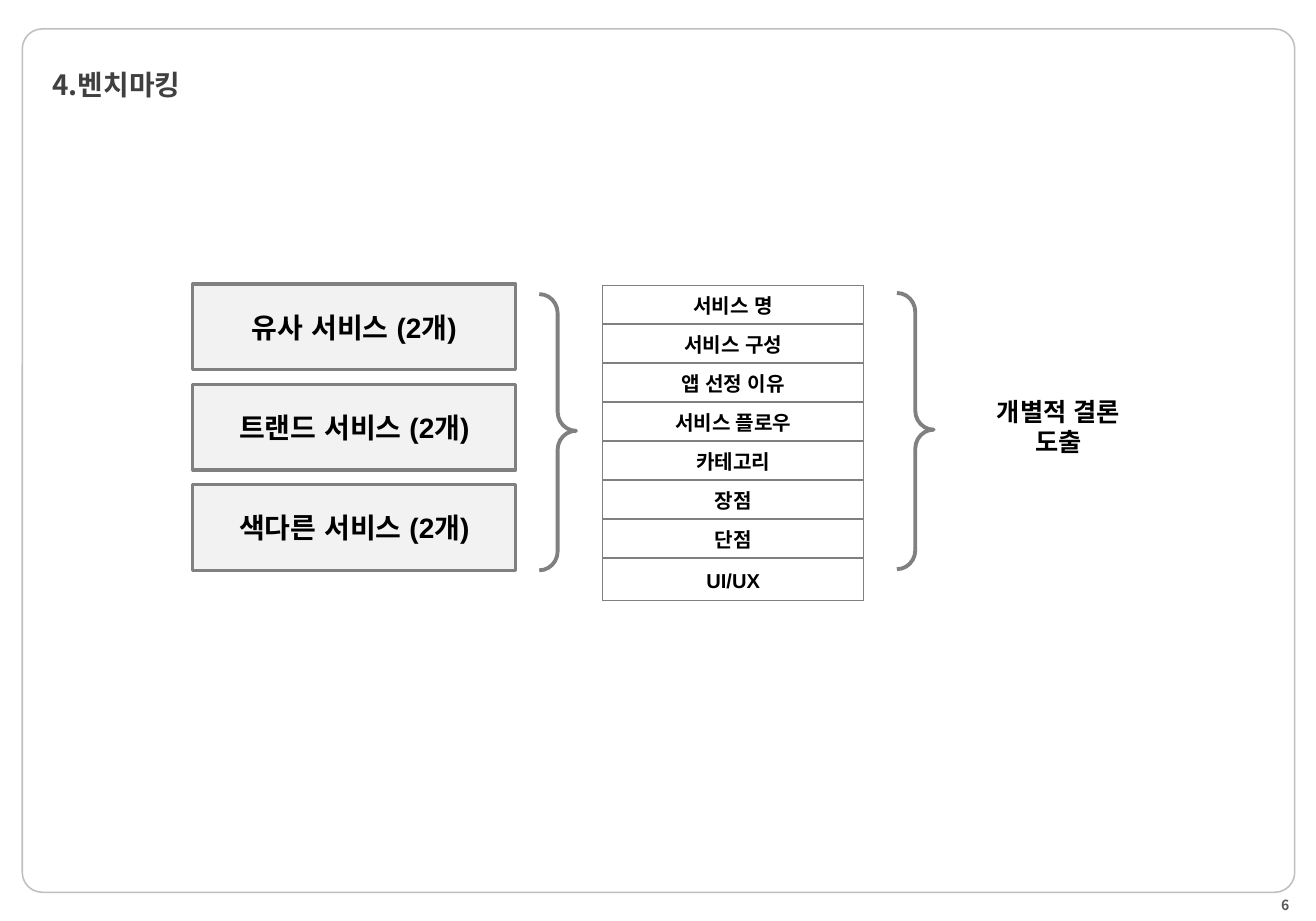
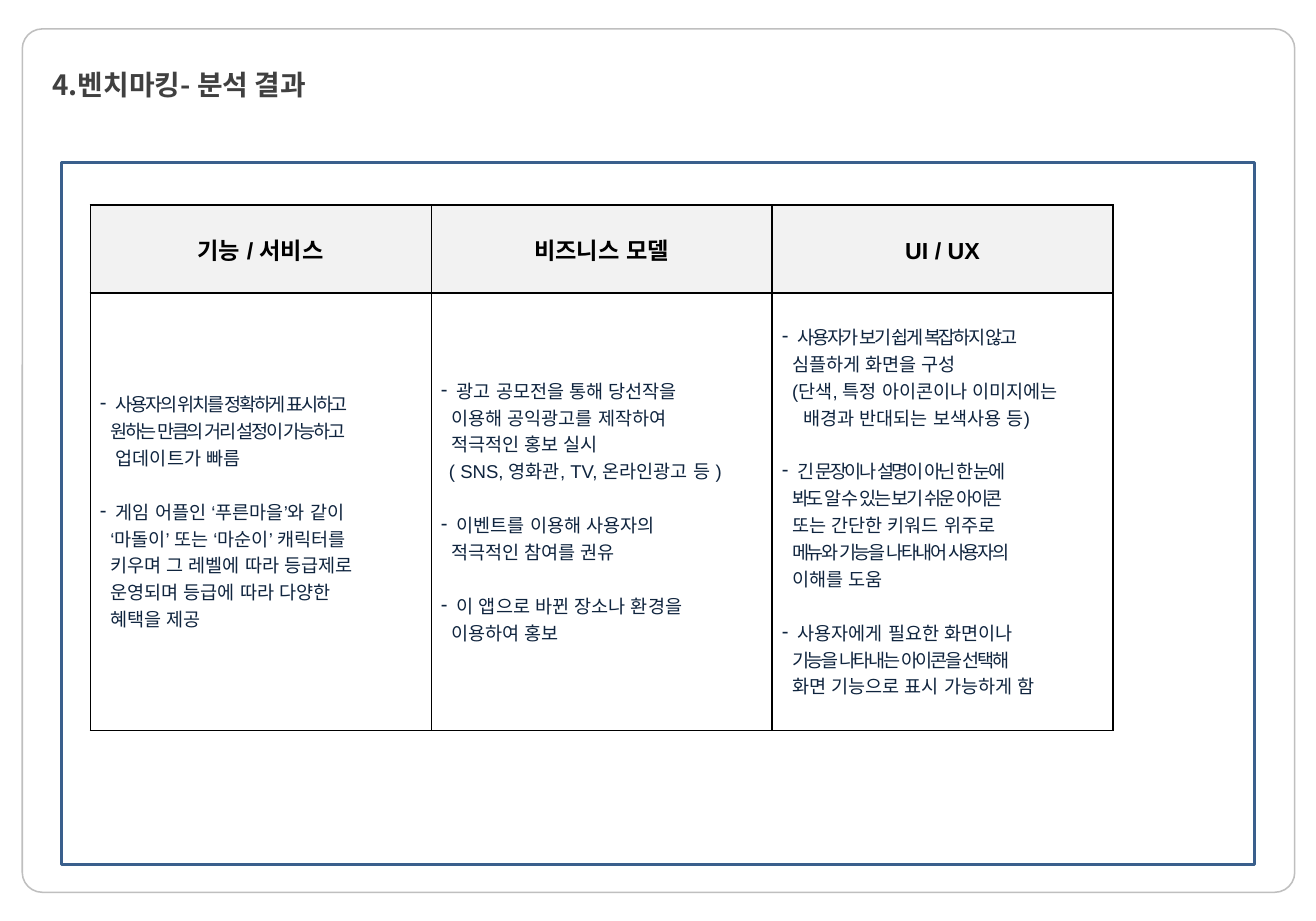
"""Build the two benchmarking slides."""
from dataclasses import dataclass

import lxml.etree
import pptx
import pptx.dml.color
import pptx.enum.shapes
import pptx.enum.text
import pptx.oxml.ns
import pptx.util

Inches = pptx.util.Inches
Pt = pptx.util.Pt
qn = pptx.oxml.ns.qn
SHAPE = pptx.enum.shapes.MSO_SHAPE
ALIGN = pptx.enum.text.PP_ALIGN
MIDDLE = pptx.enum.text.MSO_ANCHOR.MIDDLE


@dataclass(frozen=True)
class Theme:
    """Colours, fonts and type sizes shared by the slides."""
    black: str = "000000"
    title: str = "404040"
    number: str = "595959"
    body: str = "0F243E"
    gray: str = "808080"
    frame: str = "BFBFBF"
    panel: str = "3A5F8C"
    pale: str = "F2F2F2"
    text_font: str = "Arial"
    title_font: str = "Noto Sans CJK KR"
    title_size: float = 18
    box_size: float = 18.1
    result_size: float = 16.3
    head_size: float = 15
    item_size: float = 13
    body_size: float = 12
    number_size: float = 9
    body_leading: float = 17.4
    result_leading: float = 19.4


@dataclass(frozen=True)
class Line:
    """One line of a point; tight lines have condensed letters."""
    text: str
    tight: bool = False
    indent: float = 0.09


THEME = Theme()
CM_PER_INCH = 2.54
BULLET_INDENT = 0.14

SERVICES = ["유사 서비스 (2개)", "트랜드 서비스 (2개)", "색다른 서비스 (2개)"]
CRITERIA = ["서비스 명", "서비스 구성", "앱 선정 이유", "서비스 플로우",
            "카테고리", "장점", "단점", "UI/UX"]
FINDINGS = {
    "기능 / 서비스": [
        [Line("사용자의 위치를 정확하게 표시하고", True),
         Line("원하는 만큼의 거리 설정이 가능하고", True),
         Line("업데이트가 빠름", indent=0.14)],
        [Line("게임 어플인 ‘푸른마을’와 같이"),
         Line("‘마돌이’ 또는 ‘마순이’ 캐릭터를"),
         Line("키우며 그 레벨에 따라 등급제로"),
         Line("운영되며 등급에 따라 다양한"),
         Line("혜택을 제공")],
    ],
    "비즈니스 모델": [
        [Line("광고 공모전을 통해 당선작을"),
         Line("이용해 공익광고를 제작하여"),
         Line("적극적인 홍보 실시"),
         Line("( SNS, 영화관, TV, 온라인광고 등 )", indent=0.07)],
        [Line("이벤트를 이용해 사용자의"),
         Line("적극적인 참여를 권유")],
        [Line("이 앱으로 바뀐 장소나 환경을"),
         Line("이용하여 홍보")],
    ],
    "UI / UX": [
        [Line("사용자가 보기 쉽게 복잡하지 않고", True),
         Line("심플하게 화면을 구성"),
         Line("(단색, 특정 아이콘이나 이미지에는"),
         Line("배경과 반대되는 보색사용 등)", indent=0.19)],
        [Line("긴 문장이나 설명이 아닌 한 눈에", True),
         Line("봐도 알 수 있는 보기 쉬운 아이콘", True),
         Line("또는 간단한 키워드 위주로"),
         Line("메뉴와 기능을 나타내어 사용자의", True),
         Line("이해를 도움")],
        [Line("사용자에게 필요한 화면이나"),
         Line("기능을 나타내는 아이콘을 선택해", True),
         Line("화면 기능으로 표시 가능하게 함")],
    ],
}


def rgb(code):
    """Return the colour for a hex code."""
    return pptx.dml.color.RGBColor.from_string(code)


def format_text(tf, size, color=THEME.black, font=THEME.text_font,
                bold=True, align=ALIGN.CENTER):
    """Format every paragraph and run of a text frame."""
    tf.word_wrap = True
    for p in tf.paragraphs:
        p.alignment = align
        for r in p.runs:
            r.font.size = Pt(size)
            r.font.bold = bold
            r.font.color.rgb = rgb(color)
            r.font.name = font
            ea = lxml.etree.SubElement(r._r.get_or_add_rPr(), qn("a:ea"))
            ea.set("typeface", font)


def add_text(slide, box, text, size, **style):
    """Add a vertically centred text box and return its frame."""
    tf = slide.shapes.add_textbox(*map(Inches, box)).text_frame
    tf.text = text
    tf.vertical_anchor = MIDDLE
    format_text(tf, size, **style)
    return tf


def add_outline(slide, kind, box, color, width, fill=None, adjust=()):
    """Add a preset shape with an outline and an optional fill."""
    sp = slide.shapes.add_shape(kind, *map(Inches, box))
    sp.shadow.inherit = False
    sp.line.color.rgb = rgb(color)
    sp.line.width = Pt(width)
    if fill:
        sp.fill.solid()
        sp.fill.fore_color.rgb = rgb(fill)
    else:
        sp.fill.background()
    for i, value in enumerate(adjust):
        sp.adjustments[i] = value
    return sp


def add_brace(slide, left, top):
    """Add a brace that gathers the items on its left."""
    add_outline(slide, SHAPE.RIGHT_BRACE, (left, top, 0.33, 2.48),
                THEME.gray, 2.5, adjust=(0.518, 0.495))


def style_cell(cell, border, fill=None, shift=0.02):
    """Give a cell its borders and fill, and shift its text down."""
    cell.vertical_anchor = MIDDLE
    cell.margin_left = cell.margin_right = Inches(0.09)
    cell.margin_top = Inches(0.04 + shift)
    cell.margin_bottom = Inches(0.04 - shift)
    tc_pr = cell._tc.get_or_add_tcPr()
    for side in ("a:lnL", "a:lnR", "a:lnT", "a:lnB"):
        ln = lxml.etree.SubElement(tc_pr, qn(side), w=str(Pt(1)))
        solid = lxml.etree.SubElement(ln, qn("a:solidFill"))
        lxml.etree.SubElement(solid, qn("a:srgbClr"), val=border)
    if fill:
        cell.fill.solid()
        cell.fill.fore_color.rgb = rgb(fill)
    else:
        cell.fill.background()


def add_grid(slide, left, top, widths, heights):
    """Add a table without banding and return it."""
    box = map(Inches, (left, top, sum(widths), sum(heights)))
    table = slide.shapes.add_table(len(heights), len(widths), *box).table
    table.first_row = table.horz_banding = False
    for col, width in zip(table.columns, widths):
        col.width = Inches(width)
    for row, height in zip(table.rows, heights):
        row.height = Inches(height)
    return table


def fill_points(tf, points):
    """Write dashed points whose lines are broken by hand."""
    lines = [(line, i == 0) for point in points for i, line in enumerate(point)]
    tf.text = "\n".join(line.text for line, _ in lines)
    format_text(tf, THEME.body_size, THEME.body, bold=False, align=ALIGN.LEFT)
    for n, (p, (line, starts)) in enumerate(zip(tf.paragraphs, lines)):
        p.line_spacing = Pt(THEME.body_leading)
        if starts and n:
            p.space_before = Pt(THEME.body_leading)
        p_pr = p._p.get_or_add_pPr()
        indent = Inches(BULLET_INDENT if starts else line.indent)
        p_pr.set("marL", str(indent))
        p_pr.set("indent", str(-indent if starts else 0))
        if starts:
            lxml.etree.SubElement(p_pr, qn("a:buChar"), char="-")
        else:
            lxml.etree.SubElement(p_pr, qn("a:buNone"))
        if line.tight:
            p.runs[0]._r.get_or_add_rPr().set("spc", "-150")


def add_page(prs, title, number=None):
    """Add a slide with the shared frame, title and page number."""
    slide = prs.slides.add_slide(prs.slide_layouts[6])
    add_outline(slide, SHAPE.ROUNDED_RECTANGLE, (0.2, 0.26, 11.42, 7.75),
                THEME.frame, 1, adjust=(0.023,))
    tf = add_text(slide, (0.39, 0.28, 10.48, 0.95), title, THEME.title_size,
                  color=THEME.title, font=THEME.title_font, align=ALIGN.LEFT)
    tf.margin_left = Inches(0.08)
    if number:
        tf = add_text(slide, (8.91, 8.03, 2.76, 0.18), number,
                      THEME.number_size, color=THEME.number,
                      font=THEME.title_font, align=ALIGN.RIGHT)
        tf.margin_top = tf.margin_bottom = 0
    return slide


def build_method(prs):
    """Build the slide on services, criteria and conclusion."""
    slide = add_page(prs, "4.벤치마킹", "6")
    for i, service in enumerate(SERVICES):
        sp = add_outline(slide, SHAPE.RECTANGLE, (1.73, 2.55 + 0.9 * i, 2.9, 0.77),
                         THEME.gray, 2, THEME.pale)
        sp.text_frame.text = service
        sp.text_frame.vertical_anchor = MIDDLE
        format_text(sp.text_frame, THEME.box_size)
    add_brace(slide, 4.84, 2.64)
    heights = [0.35] * (len(CRITERIA) - 1) + [0.38]
    table = add_grid(slide, 5.41, 2.56, [2.34], heights)
    for i, criterion in enumerate(CRITERIA):
        cell = table.cell(i, 0)
        style_cell(cell, THEME.gray)
        cell.text_frame.text = criterion
        format_text(cell.text_frame, THEME.item_size)
    add_brace(slide, 8.05, 2.63)
    tf = add_text(slide, (8.53, 3.51, 1.94, 0.64), "개별적 결론\n도출",
                  THEME.result_size)
    for p in tf.paragraphs:
        p.line_spacing = Pt(THEME.result_leading)


def build_findings(prs):
    """Build the slide with the table of findings."""
    slide = add_page(prs, "4.벤치마킹- 분석 결과")
    add_outline(slide, SHAPE.RECTANGLE, (0.55, 1.46, 10.71, 6.3), THEME.panel, 2)
    table = add_grid(slide, 0.81, 1.84, [3.06] * len(FINDINGS), [0.79, 3.93])
    for col, (heading, points) in enumerate(FINDINGS.items()):
        head, body = table.cell(0, col), table.cell(1, col)
        style_cell(head, THEME.black, THEME.pale)
        head.text_frame.text = heading
        format_text(head.text_frame, THEME.head_size)
        style_cell(body, THEME.black, shift=-0.02)
        fill_points(body.text_frame, points)


def main():
    """Build and save the presentation on a page of 30 by 21 cm."""
    prs = pptx.Presentation()
    prs.slide_width = Inches(30 / CM_PER_INCH)
    prs.slide_height = Inches(21 / CM_PER_INCH)
    build_method(prs)
    build_findings(prs)
    prs.save("out.pptx")


main()
